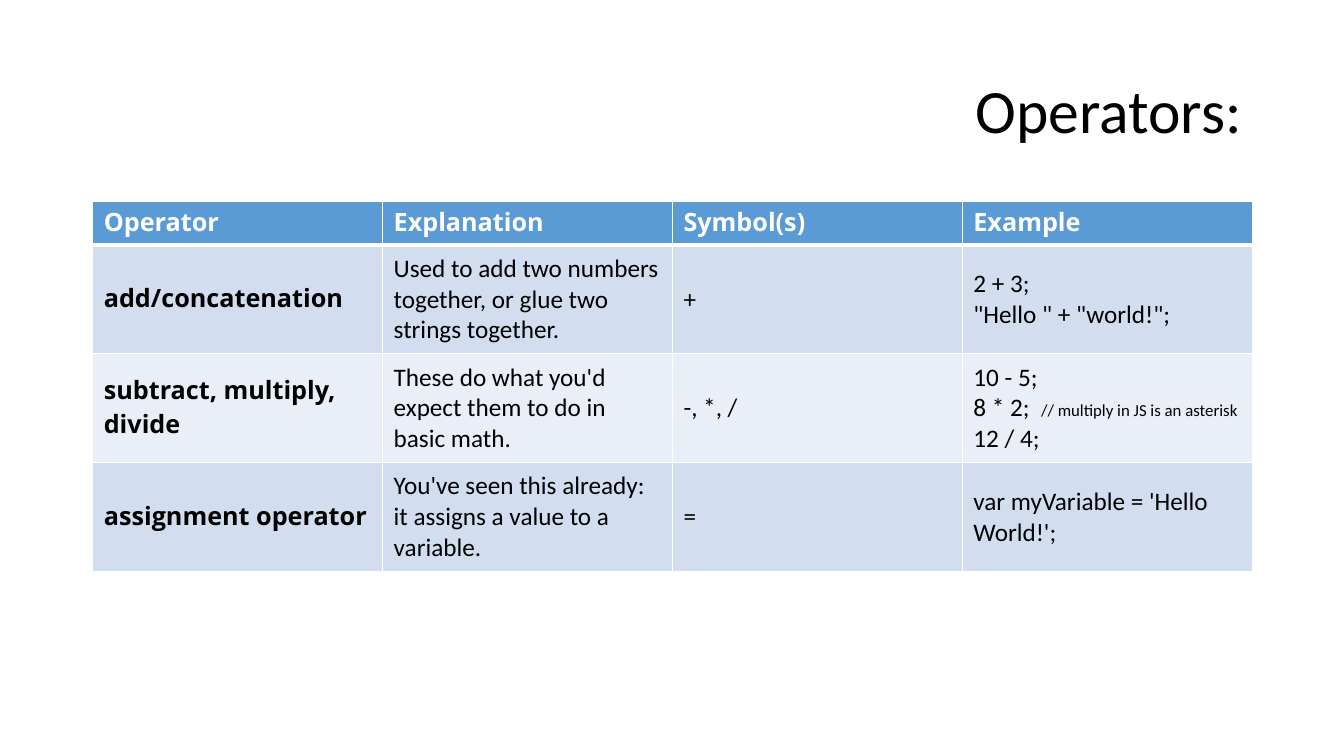
from pptx import Presentation
from pptx.dml.color import RGBColor
from pptx.enum.text import MSO_ANCHOR, PP_ALIGN
from pptx.oxml import parse_xml
from pptx.oxml.ns import nsdecls
from pptx.util import Inches, Pt

BLACK = RGBColor(0x00, 0x00, 0x00)
WHITE = RGBColor(0xFF, 0xFF, 0xFF)
HEADER_BLUE = RGBColor(0x5B, 0x9B, 0xD5)
BANDS = [RGBColor(0xD2, 0xDE, 0xEF), RGBColor(0xEA, 0xEF, 0xF7)]

BODY_FONT = "Calibri"
LABEL_FONT = "Open Sans"
COMMENT = "//"

ROWS = [
    ["Operator", "Explanation", "Symbol(s)", "Example"],
    ["add/concatenation",
     "Used to add two numbers together, or glue two strings together.",
     "+",
     "2 + 3;\n\"Hello \" + \"world!\";"],
    ["subtract, multiply, divide",
     "These do what you'd expect them to do in basic math.",
     "-, *, /",
     "10 - 5;\n8 * 2;  // multiply in JS is an asterisk\n12 / 4;"],
    ["assignment operator",
     "You've seen this already: it assigns a value to a variable.",
     "=",
     "var myVariable = 'Hello World!';"],
]


def set_font(font, name, size, color, bold=False):
    font.name = name
    font.size = Pt(size)
    font.bold = bold
    font.color.rgb = color


def set_title(slide, text):
    title = slide.shapes.title
    title.left, title.top = Inches(3.35), Inches(0.4)
    title.width, title.height = Inches(9.07), Inches(1.45)
    tf = title.text_frame
    tf.text = text
    tf.vertical_anchor = MSO_ANCHOR.MIDDLE
    p = tf.paragraphs[0]
    p.alignment = PP_ALIGN.RIGHT
    p.line_spacing = 0.9
    set_font(p.font, BODY_FONT, 44, BLACK)


def set_borders(cell, top, bottom):
    tc_pr = cell._tc.get_or_add_tcPr()
    for side, width in (("L", 1), ("R", 1), ("T", top), ("B", bottom)):
        tc_pr.append(parse_xml(
            f'<a:ln{side} {nsdecls("a")} w="{Pt(width)}"><a:solidFill>'
            f'<a:srgbClr val="{WHITE}"/></a:solidFill></a:ln{side}>'))


def write_code(p, text):
    for i, line in enumerate(text.split("\n")):
        if i:
            p.add_line_break()
        code, mark, comment = line.partition(COMMENT)
        p.add_run().text = code
        if mark:
            r = p.add_run()
            r.text = mark + comment
            r.font.size = Pt(12)


def fill_cell(cell, text, row, col):
    is_header = row == 0
    is_label = is_header or col == 0
    set_borders(cell, 3 if row == 1 else 1, 3 if is_header else 1)
    cell.fill.solid()
    cell.fill.fore_color.rgb = HEADER_BLUE if is_header else BANDS[(row - 1) % 2]
    cell.vertical_anchor = MSO_ANCHOR.MIDDLE
    cell.margin_left = cell.margin_right = Inches(0.11)
    cell.margin_top = Inches(0.03 if is_label else 0.08)
    cell.margin_bottom = Inches(0.06 if is_label else 0.08)
    p = cell.text_frame.paragraphs[0]
    set_font(p.font, LABEL_FONT if is_label else BODY_FONT, 18,
             WHITE if is_header else BLACK, is_label)
    write_code(p, text)


def add_operator_table(slide):
    table = slide.shapes.add_table(
        len(ROWS), len(ROWS[0]),
        Inches(0.92), Inches(2), Inches(11.5), Inches(3.65)).table
    for row, texts in enumerate(ROWS):
        table.rows[row].height = Inches(1.08 if row else 0.41)
        for col, text in enumerate(texts):
            fill_cell(table.cell(row, col), text, row, col)


def main():
    prs = Presentation()
    prs.slide_width, prs.slide_height = Inches(13.33), Inches(7.5)
    slide = prs.slides.add_slide(prs.slide_layouts[5])
    set_title(slide, "Operators:")
    add_operator_table(slide)
    prs.save("out.pptx")


if __name__ == "__main__":
    main()
